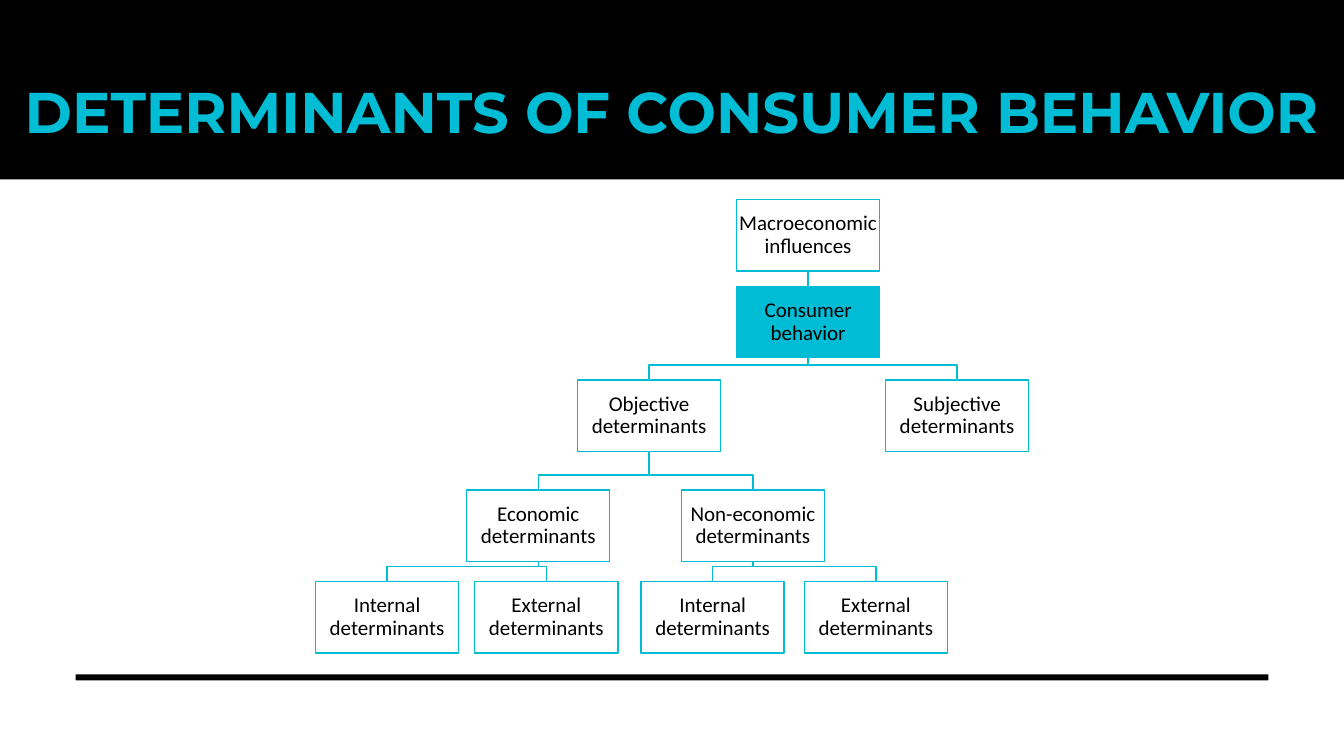
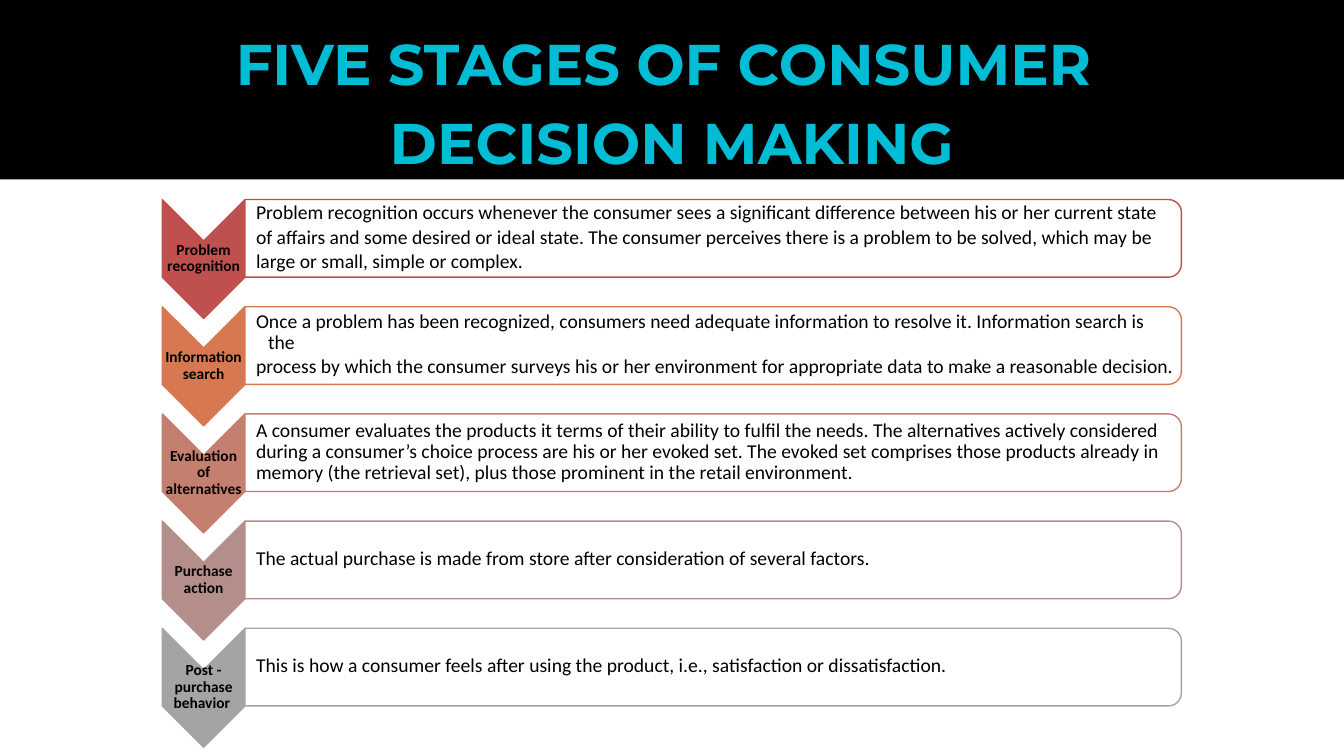
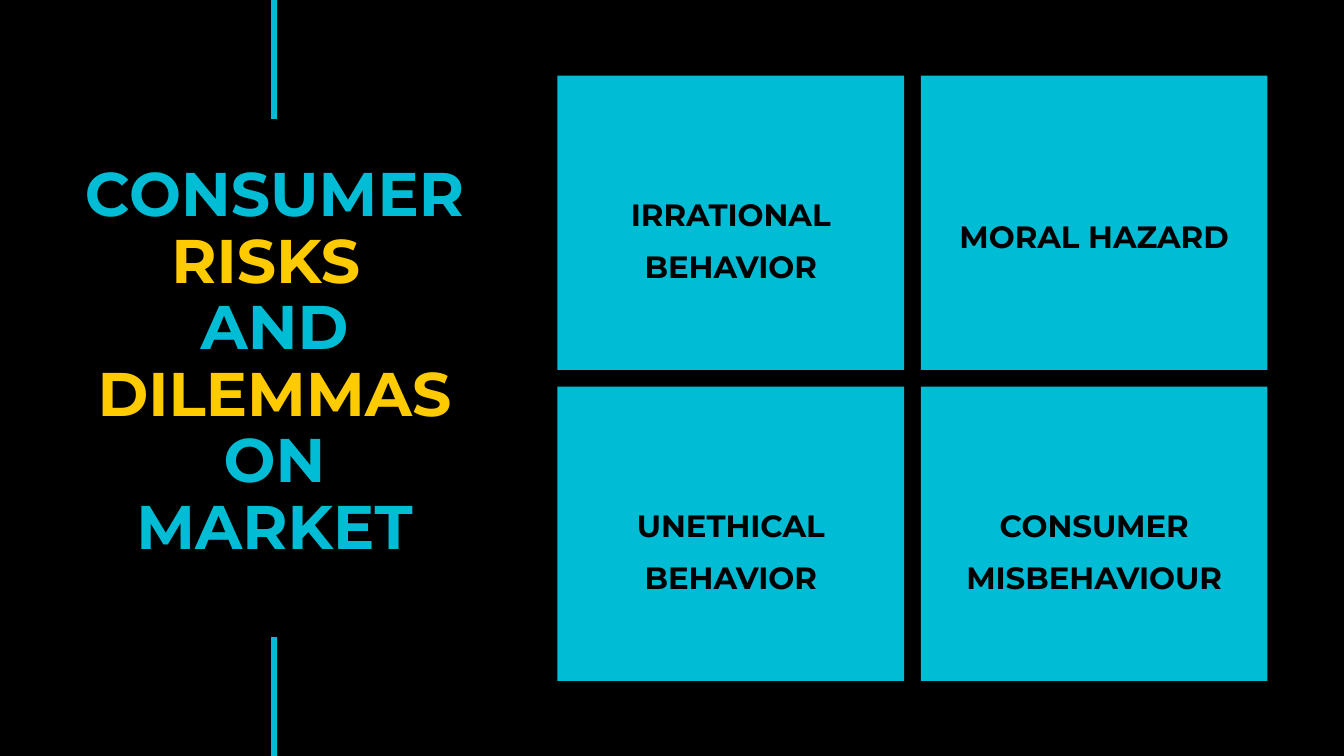
from dataclasses import dataclass

from lxml import etree
from pptx import Presentation
from pptx.dml.color import RGBColor
from pptx.enum.shapes import MSO_CONNECTOR, MSO_SHAPE
from pptx.enum.text import MSO_ANCHOR, PP_ALIGN
from pptx.oxml.ns import qn
from pptx.util import Inches, Pt

RECTANGLE = MSO_SHAPE.RECTANGLE
CHEVRON = MSO_SHAPE.CHEVRON
ROUNDED_END = MSO_SHAPE.ROUND_2_SAME_RECTANGLE
STRAIGHT = MSO_CONNECTOR.STRAIGHT
TOP, MIDDLE = MSO_ANCHOR.TOP, MSO_ANCHOR.MIDDLE
LEFT, CENTER = PP_ALIGN.LEFT, PP_ALIGN.CENTER
BOTTOM_SITE, TOP_SITE = 2, 0

# The slide is a grid of 160 columns by 90 rows with square cells
COLUMNS, ROWS = 160, 90
CELL = Inches(7.5) / ROWS


@dataclass(frozen=True)
class TextStyle:
    font: str
    size: int
    bold: bool
    color: str
    spacing: float


class Theme:
    black, white, cyan, yellow = "000000", "FFFFFF", "00BCD4", "FECB01"
    stages = ("C0504D", "D77850", "C47F6E", "B38E8A", "A4A4A4")
    line_width = Pt(1)
    band_height = 21.36
    bar = 0.72
    inset = 0.12
    title = TextStyle("Montserrat", 41, True, cyan, 1.31)
    long_title = TextStyle("Montserrat", 41, True, cyan, 1.15)
    side_title = TextStyle("Montserrat", 44, True, cyan, 0.9)
    card = TextStyle("Montserrat", 22, True, black, 1.4)
    node = TextStyle("Calibri", 15, False, black, 0.9)
    stage = TextStyle("Calibri", 11, True, black, 0.9)
    body = TextStyle("Calibri", 14, False, black, 0.9)


def add_block(slide, left, top, width, height, kind=RECTANGLE, fill=None, line=None):
    """Add a shape, or a text box when kind is None, placed in grid cells."""
    box = [round(value * CELL) for value in (left, top, width, height)]
    if kind is None:
        return slide.shapes.add_textbox(*box)
    shape = slide.shapes.add_shape(kind, *box)
    shape.shadow.inherit = False
    shape.fill.solid()
    shape.fill.fore_color.rgb = RGBColor.from_string(fill)
    if line:
        shape.line.color.rgb = RGBColor.from_string(line)
        shape.line.width = Theme.line_width
    else:
        shape.line.fill.background()
    return shape


def write(shape, lines, style, align=CENTER, anchor=TOP, margins=(0, 0, 0, 0)):
    """Write one paragraph per line; margins are left, top, right, bottom in cells."""
    frame = shape.text_frame
    frame.word_wrap = True
    frame.vertical_anchor = anchor
    (frame.margin_left, frame.margin_top,
     frame.margin_right, frame.margin_bottom) = [round(m * CELL) for m in margins]
    frame.text = "\n".join(lines)
    for paragraph in frame.paragraphs:
        paragraph.alignment = align
        paragraph.line_spacing = style.spacing
        paragraph.font.name = style.font
        paragraph.font.size = Pt(style.size)
        paragraph.font.bold = style.bold
        paragraph.font.color.rgb = RGBColor.from_string(style.color)
    return frame.paragraphs


presentation = Presentation()
presentation.slide_width = round(COLUMNS * CELL)
presentation.slide_height = round(ROWS * CELL)
blank = presentation.slide_layouts[6]
tree_slide, stage_slide, risk_slide = [
    presentation.slides.add_slide(blank) for _ in range(3)]

# Title bands
bands = [
    (tree_slide, ["DETERMINANTS OF CONSUMER BEHAVIOR"], Theme.title, 6.48, 8.52),
    (stage_slide, ["FIVE STAGES OF CONSUMER ", "DECISION MAKING"],
     Theme.long_title, 2.16, 18.36),
]
for slide, lines, style, top, height in bands:
    add_block(slide, 0, 0, COLUMNS, Theme.band_height, fill=Theme.black)
    write(add_block(slide, 0.5, top, 159, height, kind=None), lines, style)

# Slide 1: tree of determinants, as text, centre column, level, parent
add_block(tree_slide, 9, 80.28, 142, Theme.bar, fill=Theme.black)
level_tops = (23.76, 34.08, 45.24, 58.32, 69.24)
node_width, node_height, bend_rise = 17.04, 8.52, 1.78
nodes = [
    ("Macroeconomic influences", 96.2, 0, None),
    ("Consumer behavior", 96.2, 1, 0),
    ("Objective determinants", 77.28, 2, 1),
    ("Subjective determinants", 113.94, 2, 1),
    ("Economic determinants", 64.08, 3, 2),
    ("Non-economic determinants", 89.64, 3, 2),
    ("Internal determinants", 46.08, 4, 4),
    ("External determinants", 65.04, 4, 4),
    ("Internal determinants", 84.84, 4, 5),
    ("External determinants", 104.28, 4, 5),
]
node_shapes = []
for text, center, level, parent in nodes:
    fill = Theme.cyan if level == 1 else Theme.white
    node = add_block(tree_slide, center - node_width / 2, level_tops[level],
                     node_width, node_height, fill=fill, line=Theme.cyan)
    write(node, [text], Theme.node, anchor=MIDDLE, margins=(Theme.inset,) * 4)
    node_shapes.append(node)

# Links between levels
for index, (text, center, level, parent) in enumerate(nodes):
    if parent is None:
        continue
    parent_center, parent_level = nodes[parent][1:3]
    parent_bottom = level_tops[parent_level] + node_height
    child_top = level_tops[level]
    bend = child_top - bend_rise
    route = [(round(x * CELL), round(y * CELL)) for x, y in (
        (parent_center, parent_bottom), (parent_center, bend),
        (center, bend), (center, child_top))]
    if center == parent_center:
        link = tree_slide.shapes.add_connector(STRAIGHT, *route[0], *route[-1])
        link.begin_connect(node_shapes[parent], BOTTOM_SITE)
        link.end_connect(node_shapes[index], TOP_SITE)
        etree.SubElement(link.element.spPr, qn("a:effectLst"))
        link.line.color.rgb = RGBColor.from_string(Theme.cyan)
    else:
        builder = tree_slide.shapes.build_freeform(*route[0])
        builder.add_line_segments(route[1:], close=False)
        link = builder.convert_to_shape()
        link.shadow.inherit = False
        link.fill.background()
        link.line.color.rgb = RGBColor.from_string(Theme.cyan)
    link.line.width = Theme.line_width

# Slide 2: stages, as name, lines of text, space before each further line
stages = [
    ("Problem recognition", [
        "Problem recognition occurs whenever the consumer sees a significant difference between his or her current state",
        "of affairs and some desired or ideal state. The consumer perceives there is a problem to be solved, which may be",
        "large or small, simple or complex."], 2.1),
    ("Information search", [
        "Once a problem has been recognized, consumers need adequate information to resolve it. Information search is the",
        "process by which the consumer surveys his or her environment for appropriate data to make a reasonable decision."], 2.1),
    ("Evaluation of alternatives", [
        "A consumer evaluates the products it terms of their ability to fulfil the needs. The alternatives actively considered",
        "during a consumer’s choice process are his or her evoked set. The evoked set comprises those products already in",
        "memory (the retrieval set), plus those prominent in the retail environment."], 0),
    ("Purchase action", [
        "The actual purchase is made from store after consideration of several factors."], 0),
    ("Post - purchase behavior ", [
        "This is how a consumer feels after using the product, i.e., satisfaction or dissatisfaction."], 0),
]
stage_pitch = 12.76
hanging = Inches(0.12)
for index, (name, lines, gap) in enumerate(stages):
    offset = index * stage_pitch
    color = Theme.stages[index]
    # Both outlines are drawn upright and turned a quarter
    chevron = add_block(stage_slide, 17.16, 25.92 + offset, 14.16, 9.84,
                        CHEVRON, color, color)
    panel = add_block(stage_slide, 80.28, offset - 27.36, 9.24, 111.48,
                      ROUNDED_END, Theme.white, color)
    panel.adjustments[0], panel.adjustments[1] = 0.167, 0
    chevron.rotation = panel.rotation = 90
    label = add_block(stage_slide, 19.32, 28.68 + offset, 9.84, 4.2, kind=None)
    write(label, [name], Theme.stage, anchor=MIDDLE, margins=(Theme.inset,) * 4)
    description = add_block(stage_slide, 29.16, 24.16 + offset, 111, 8.28, kind=None)
    paragraphs = write(description, lines, Theme.body, LEFT, MIDDLE,
                       (1.32, Theme.inset, Theme.inset, Theme.inset))
    for number, paragraph in enumerate(paragraphs):
        paragraph.space_before = Pt(gap if number else 0)
        properties = paragraph._p.get_or_add_pPr()
        properties.set("marL", str(hanging))
        properties.set("indent", str(-hanging))

# Slide 3: side title between two bars
risk_slide.background.fill.solid()
risk_slide.background.fill.fore_color.rgb = RGBColor.from_string(Theme.black)
bar_height = 14.16
for top in (0, ROWS - bar_height):
    add_block(risk_slide, 32.28, top, Theme.bar, bar_height, fill=Theme.cyan)
side_title = add_block(risk_slide, 9.3, 19.44, 46.8, 52.92, kind=None)
paragraph = write(side_title, [""], Theme.side_title)[0]
for text, color in (("CONSUMER ", Theme.cyan), ("RISKS ", Theme.yellow), (None, None),
                    ("AND ", Theme.cyan), ("DILEMMAS ", Theme.yellow),
                    ("ON MARKET", Theme.cyan)):
    if text is None:
        paragraph.add_line_break()
        continue
    run = paragraph.add_run()
    run.text = text
    run.font.color.rgb = RGBColor.from_string(color)

# Two by two cards, with the text's distance from the card's top
cards = [("IRRATIONAL BEHAVIOR", 12.6), ("MORAL HAZARD", 15.12),
         ("UNETHICAL BEHAVIOR", 12.6), ("CONSUMER MISBEHAVIOUR", 12.6)]
card_width, card_height, gutter = 41.28, 35.04, 1.98
for index, (text, text_top) in enumerate(cards):
    row, column = divmod(index, 2)
    card = add_block(risk_slide, 66.36 + column * (card_width + gutter),
                     9 + row * (card_height + gutter),
                     card_width, card_height, fill=Theme.cyan)
    write(card, [text], Theme.card, margins=(3.72, text_top, 3.72, 0))

presentation.save("out.pptx")
